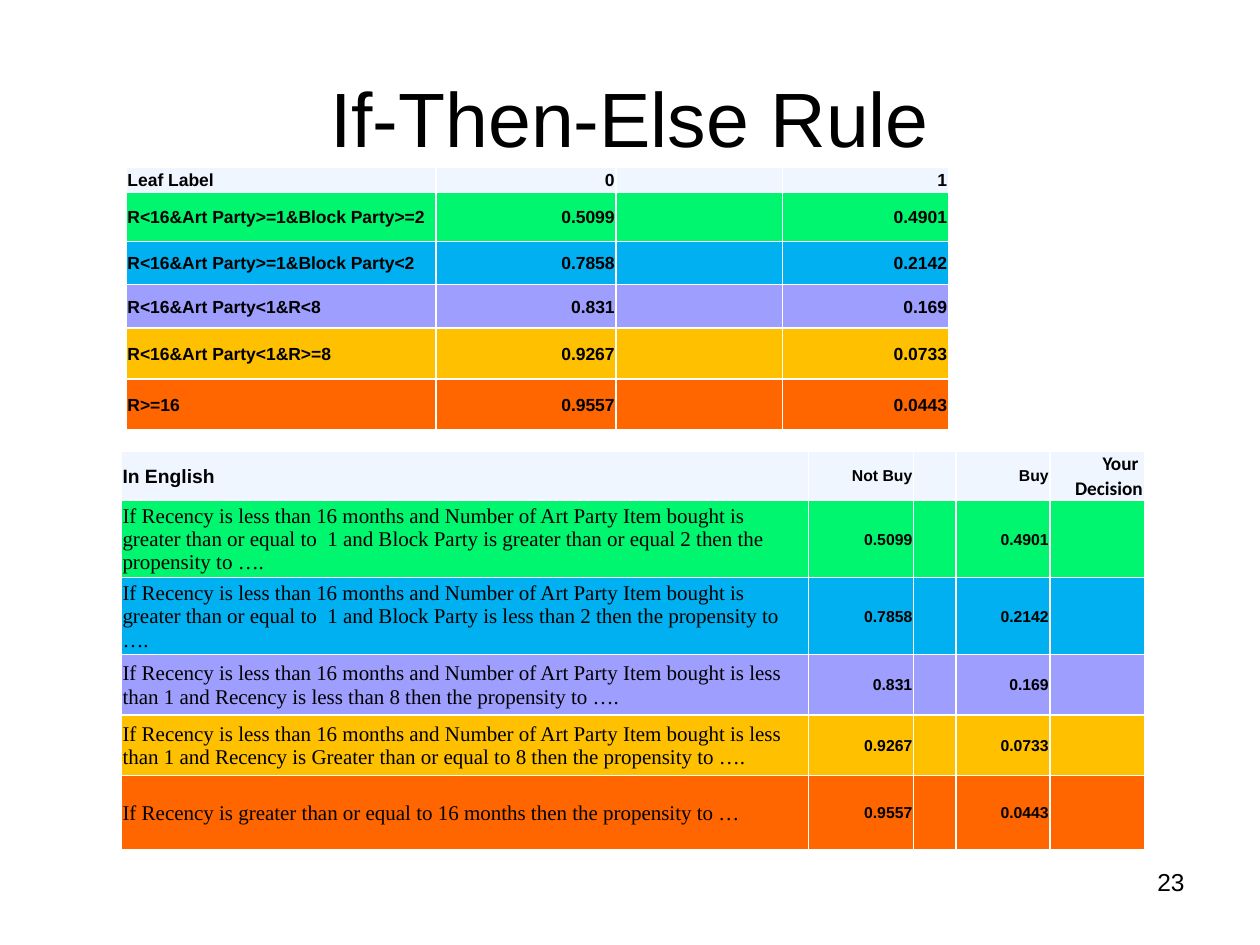
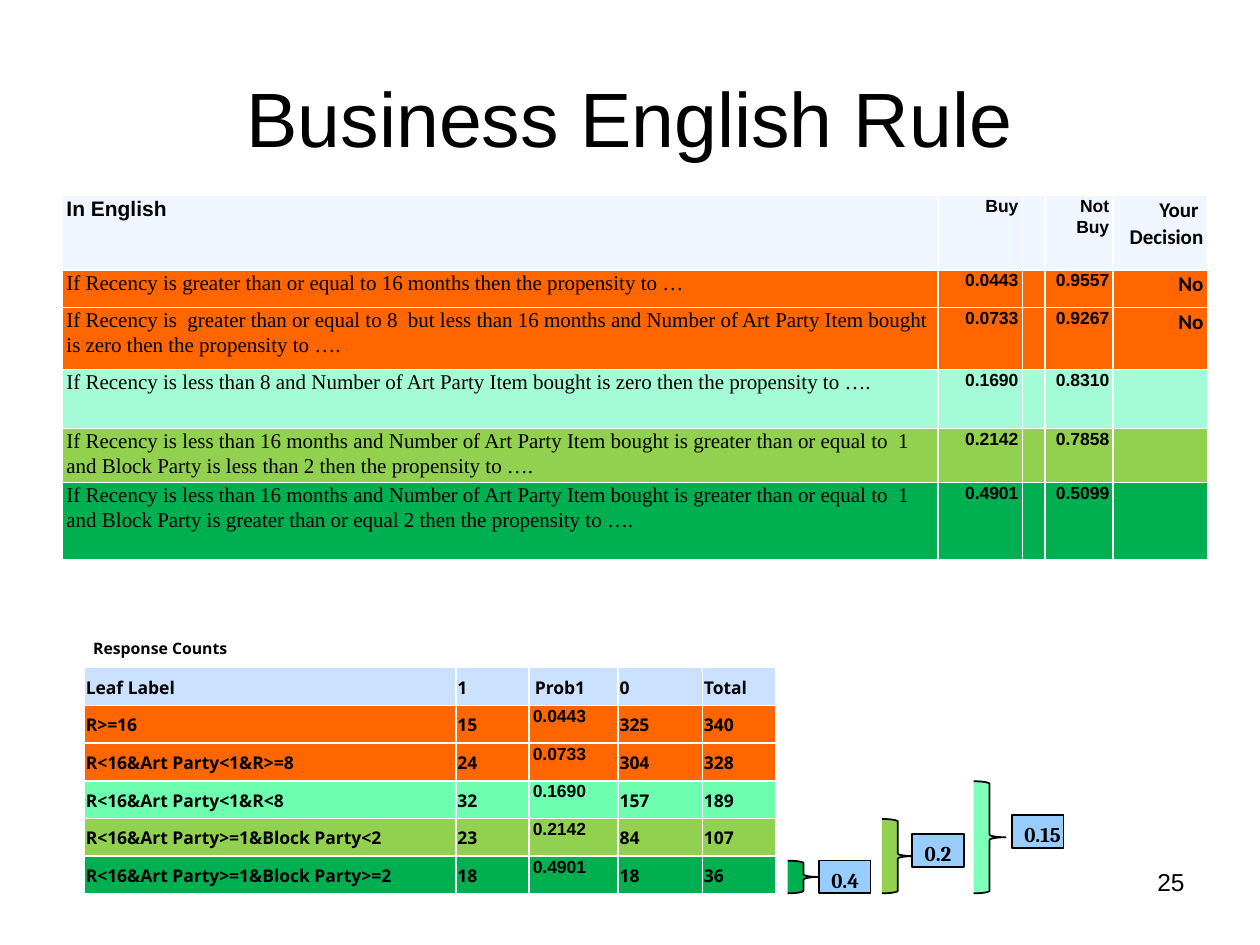
from dataclasses import dataclass, replace

from lxml.etree import SubElement
from pptx import Presentation
from pptx.dml.color import RGBColor
from pptx.enum.shapes import MSO_SHAPE as Preset
from pptx.enum.text import MSO_ANCHOR as Anchor, PP_ALIGN as Align
from pptx.oxml.ns import qn
from pptx.util import Cm, Pt

BLACK = RGBColor(0x00, 0x00, 0x00)
WHITE = RGBColor(0xFF, 0xFF, 0xFF)
HEADER_PALE = RGBColor(0xEF, 0xF6, 0xFF)
HEADER_BLUE = RGBColor(0xCA, 0xE2, 0xFF)
LABEL_BLUE = RGBColor(0x99, 0xCC, 0xFF)
SPRING = RGBColor(0x00, 0xF6, 0x6F)
SKY = RGBColor(0x00, 0xB0, 0xF0)
LILAC = RGBColor(0x9E, 0x9E, 0xFF)
AMBER = RGBColor(0xFF, 0xC0, 0x00)
ORANGE = RGBColor(0xFF, 0x66, 0x00)
AQUA = RGBColor(0xA3, 0xFB, 0xD7)
MINT = RGBColor(0x6D, 0xFF, 0xAF)
BRACE_MINT = RGBColor(0x7D, 0xFF, 0xB8)
LIME = RGBColor(0x92, 0xD0, 0x50)
GREEN = RGBColor(0x00, 0xB0, 0x50)


@dataclass(frozen=True)
class Style:
    """How the text of a cell or box looks."""
    size: float
    font: str = "Arial"
    bold: bool = True
    align: Align = Align.LEFT
    anchor: Anchor = Anchor.MIDDLE
    side: float = 0.03
    top: float = 0.03
    spacing: float = 1.0


# ---- Content ----
PARTY = ("If Recency is less than 16 months and Number of Art Party Item "
         "bought is ")
MANY_BLOCKS = (PARTY + "greater than or equal to  1 and Block Party is greater "
               "than or equal 2 then the propensity to ….")
FEW_BLOCKS = (PARTY + "greater than or equal to  1 and Block Party is less "
              "than 2 then the propensity to ….")
LAPSED = ("If Recency is greater than or equal to 16 months then the "
          "propensity to …")

# fill, leaf label, rule in English, not buy, buy
LEAVES = [
    (SPRING, "R<16&Art Party>=1&Block Party>=2", MANY_BLOCKS,
     "0.5099", "0.4901"),
    (SKY, "R<16&Art Party>=1&Block Party<2", FEW_BLOCKS, "0.7858", "0.2142"),
    (LILAC, "R<16&Art Party<1&R<8",
     PARTY + "less than 1 and Recency is less than 8 then the propensity to ….",
     "0.831", "0.169"),
    (AMBER, "R<16&Art Party<1&R>=8",
     PARTY + "less than 1 and Recency is Greater than or equal to 8 then the "
     "propensity to ….", "0.9267", "0.0733"),
    (ORANGE, "R>=16", LAPSED, "0.9557", "0.0443"),
]
LEAF_ROWS = [(HEADER_PALE, ["Leaf Label", "0", "", "1"])] + [
    (fill, [label, no, "", yes]) for fill, label, _, no, yes in LEAVES]
ENGLISH_ROWS = [
    (HEADER_PALE, ["In English", "Not Buy", "", "Buy", "Your "]),
    (HEADER_PALE, ["", "", "", "", "Decision"]),
] + [(fill, [rule, no, "", yes, ""]) for fill, _, rule, no, yes in LEAVES]

BUSINESS_ROWS = [
    (HEADER_PALE, ["In English", "Buy", "", "Not Buy", "Your \nDecision"]),
    (ORANGE, [LAPSED, "0.0443", "", "0.9557", "No"]),
    (ORANGE, ["If Recency is  greater than or equal to 8  but less than 16 "
              "months and Number of Art Party Item bought is zero then the "
              "propensity to ….", "0.0733", "", "0.9267", "No"]),
    (AQUA, ["If Recency is less than 8 and Number of Art Party Item bought is "
            "zero then the propensity to ….", "0.1690", "", "0.8310", ""]),
    (LIME, [FEW_BLOCKS, "0.2142", "", "0.7858", ""]),
    (GREEN, [MANY_BLOCKS, "0.4901", "", "0.5099", ""]),
]
COUNT_ROWS = [
    (HEADER_BLUE, ["Leaf Label", "1", "\u00a0Prob1", "0", "Total"]),
    (ORANGE, ["R>=16", "15", "0.0443", "325", "340"]),
    (ORANGE, ["R<16&Art Party<1&R>=8", "24", "0.0733", "304", "328"]),
    (MINT, ["R<16&Art Party<1&R<8", "32", "0.1690", "157", "189"]),
    (LIME, ["R<16&Art Party>=1&Block Party<2", "23", "0.2142", "84", "107"]),
    (GREEN, ["R<16&Art Party>=1&Block Party>=2", "18", "0.4901", "18", "36"]),
]
# fill, brace left, brace top, label, label left, label top
BRACES = [
    (GREEN, 15.88, 17.35, "0.4", 16.51, 17.35),
    (LIME, 17.78, 16.51, "0.2", 18.39, 16.82),
    (BRACE_MINT, 19.63, 15.75, "0.15", 20.4, 16.43),
]
BRACE_WIDTH, BRACE_BOTTOM = 0.64, 18.01
LABEL_SIZE = (1.04, 0.66)

# ---- Text styles ----
TITLE = Style(44, bold=False, align=Align.CENTER, side=0.25, top=0.13)
PAGE_NUMBER = Style(14, bold=False, align=Align.RIGHT, anchor=Anchor.TOP,
                    side=0.25, top=0.13)
CAPTION = Style(9, "Noto Sans", anchor=Anchor.TOP, side=0.25, top=0.13)
BRACE_LABEL = replace(CAPTION, size=12, font="Cambria")

LEAF = Style(10)
LEAF_VALUE = replace(LEAF, align=Align.RIGHT)
ENGLISH_VALUE = replace(LEAF_VALUE, size=9)
ENGLISH_HEAD = Style(11)
ENGLISH_DECISION = replace(LEAF_VALUE, size=11, font="Calibri")
ENGLISH_RULE = Style(12, "Times New Roman", bold=False)

BUSINESS_HEAD = Style(12, anchor=Anchor.TOP, side=0.08, top=0, spacing=1.07)
BUSINESS_RULE = replace(BUSINESS_HEAD, font="Times New Roman", bold=False)
BUSINESS_VALUE = replace(BUSINESS_HEAD, size=10, align=Align.RIGHT)
BUSINESS_DECISION = replace(BUSINESS_VALUE, size=12, font="Calibri")
COUNT = Style(10, "Noto Sans")
PROBABILITY = replace(BUSINESS_HEAD, size=10)


def write(frame, text, style):
    """Fill a text frame, one paragraph for each line of the text."""
    for index, line in enumerate(text.split("\n")):
        paragraph = frame.add_paragraph() if index else frame.paragraphs[0]
        paragraph.alignment = style.align
        if style.spacing != 1:
            paragraph.line_spacing = style.spacing
        run = paragraph.add_run()
        run.text = line
        font = run.font
        font.name, font.size, font.bold = style.font, Pt(style.size), style.bold
        font.color.rgb = BLACK


def set_margins(target, style):
    """Give a cell or text frame the margins and anchor of a style."""
    target.margin_left = target.margin_right = Cm(style.side)
    target.margin_top = Cm(style.top)
    target.margin_bottom = Cm(0)
    target.vertical_anchor = style.anchor


def set_borders(cell, hidden=""):
    """Draw white cell borders, leaving out the hidden sides."""
    properties = cell._tc.get_or_add_tcPr()
    for side in "LRTB":
        line = SubElement(properties, qn("a:ln" + side), w=str(Pt(1)))
        if side in hidden:
            SubElement(line, qn("a:noFill"))
        else:
            fill = SubElement(line, qn("a:solidFill"))
            SubElement(fill, qn("a:srgbClr"), val=str(WHITE))


def add_grid(slide, left, top, widths, heights, rows, head, body, hidden=None):
    """Add a table; head and body hold one style for each column."""
    frame = slide.shapes.add_table(len(rows), len(widths), Cm(left), Cm(top),
                                   Cm(sum(widths)), Cm(sum(heights)))
    table = frame.table
    table.first_row = table.horz_banding = False
    for column, width in zip(table.columns, widths):
        column.width = Cm(width)
    for row, height in zip(table.rows, heights):
        row.height = Cm(height)
    for row, (fill, texts) in enumerate(rows):
        styles = head if fill in (HEADER_PALE, HEADER_BLUE) else body
        for column, (text, style) in enumerate(zip(texts, styles)):
            cell = table.cell(row, column)
            set_margins(cell, style)
            set_borders(cell, (hidden or {}).get((row, column), ""))
            cell.fill.solid()
            cell.fill.fore_color.rgb = fill
            if text:
                write(cell.text_frame, text, style)
            else:
                paragraph = cell.text_frame.paragraphs[0]
                SubElement(paragraph._p, qn("a:endParaRPr"), sz="800")
    return table


def add_text(slide, box, text, style):
    """Add a wrapping text box."""
    frame = slide.shapes.add_textbox(*map(Cm, box)).text_frame
    frame.word_wrap = True
    set_margins(frame, style)
    write(frame, text, style)


def add_preset(slide, preset, box, fill):
    """Add a filled preset shape with a thin black outline."""
    shape = slide.shapes.add_shape(preset, *map(Cm, box))
    shape.shadow.inherit = False
    shape.fill.solid()
    shape.fill.fore_color.rgb = fill
    shape.line.color.rgb = BLACK
    shape.line.width = Pt(1)
    return shape


def add_slide(presentation, title, number):
    """Add a slide with the shared title and page number."""
    slide = presentation.slides.add_slide(presentation.slide_layouts[5])
    shape = slide.shapes.title
    shape.left, shape.top, shape.width, shape.height = map(
        Cm, (1.27, 0.76, 22.86, 3.18))
    set_margins(shape.text_frame, TITLE)
    shape.text_frame.margin_bottom = Cm(TITLE.top)
    write(shape.text_frame, title, TITLE)
    add_text(slide, (18.21, 17.35, 5.92, 1.32), number, PAGE_NUMBER)
    return slide


def build_if_then_else(presentation):
    """Build the slide with leaf labels above their English rules."""
    slide = add_slide(presentation, "If-Then-Else Rule", "23")
    leaf_styles = [LEAF] + [LEAF_VALUE] * 3
    add_grid(slide, 2.54, 3.38, [6.25, 3.63, 3.35, 3.35],
             [0.5, 0.99, 0.87, 0.87, 1.03, 1.03], LEAF_ROWS,
             leaf_styles, leaf_styles)
    values = [ENGLISH_VALUE] * 3
    table = add_grid(slide, 2.44, 9.09, [13.86, 2.12, 0.85, 1.9, 1.9],
                     [0.38, 0.38, 1.5, 1.22, 1.22, 1.22, 1.5], ENGLISH_ROWS,
                     [ENGLISH_HEAD, *values, ENGLISH_DECISION],
                     [ENGLISH_RULE, *values, ENGLISH_DECISION],
                     hidden={(0, 4): "B", (1, 4): "T"})
    for column in range(4):
        table.cell(0, column).merge(table.cell(1, column))


def build_business_rule(presentation):
    """Build the slide with business rules, response counts and braces."""
    slide = add_slide(presentation, "Business English Rule", "25")
    values = [BUSINESS_VALUE] * 3
    add_grid(slide, 1.26, 3.94, [17.65, 1.7, 0.46, 1.37, 1.9],
             [1.5, 0.76, 1.25, 1.19, 1.04, 1.55], BUSINESS_ROWS,
             [BUSINESS_HEAD, *values, BUSINESS_DECISION],
             [BUSINESS_RULE, *values, BUSINESS_DECISION])
    add_grid(slide, 1.7, 13.46, [7.49, 1.47, 1.8, 1.7, 1.47], [0.76] * 6,
             COUNT_ROWS, [COUNT] * 5,
             [COUNT, COUNT, PROBABILITY, COUNT, COUNT])
    add_text(slide, (1.63, 12.75, 11.46, 1.42), "Response Counts", CAPTION)
    for fill, left, top, label, label_left, label_top in BRACES:
        add_preset(slide, Preset.RIGHT_BRACE,
                   (left, top, BRACE_WIDTH, BRACE_BOTTOM - top), fill)
        shape = add_preset(slide, Preset.RECTANGLE,
                           (label_left, label_top, *LABEL_SIZE), LABEL_BLUE)
        shape.text_frame.word_wrap = False
        set_margins(shape.text_frame, BRACE_LABEL)
        write(shape.text_frame, label, BRACE_LABEL)


presentation = Presentation()
presentation.slide_width, presentation.slide_height = Cm(25.4), Cm(19.05)
build_if_then_else(presentation)
build_business_rule(presentation)
presentation.save("out.pptx")
